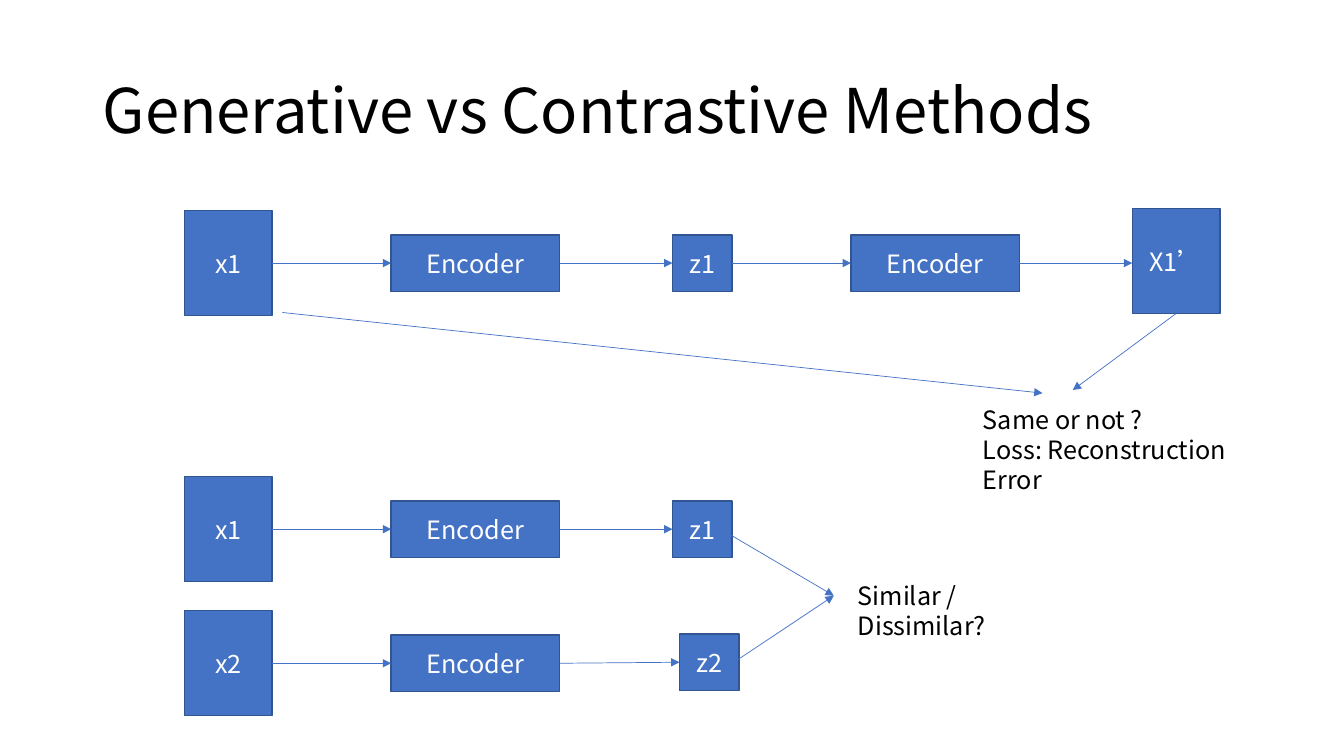
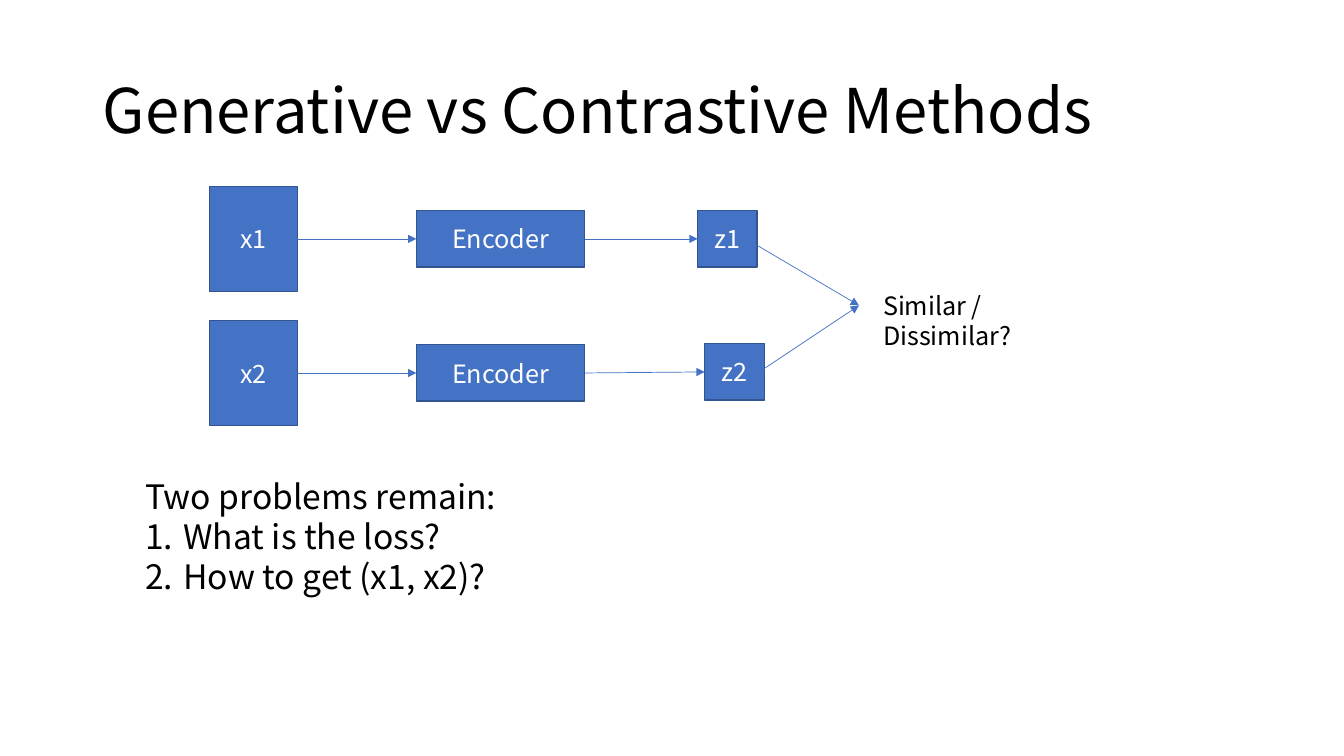
import pptx
import pptx.dml.color
import pptx.enum.shapes
import pptx.enum.text
import pptx.oxml
import pptx.oxml.ns
import pptx.util
import lxml.etree

Inches = pptx.util.Inches
Align = pptx.enum.text.PP_ALIGN
Anchor = pptx.enum.text.MSO_ANCHOR

FONT = "Noto Sans CJK SC"
BLACK, WHITE, BLUE, BORDER = "000000", "FFFFFF", "4472C4", "325491"
TITLE = "Generative vs Contrastive Methods"

INPUT_SIZE = (0.87, 1.04)
ENCODER_SIZE = (1.67, 0.56)
CODE_SIZE = (0.59, 0.56)
ENCODER_OFFSET, CODE_OFFSET, INNER_DROP = 2.05, 4.84, 0.24
ROW_PITCH = 1.33


def color(value):
    return pptx.dml.color.RGBColor.from_string(value)


def add_child(parent, tag, **attributes):
    return lxml.etree.SubElement(parent, pptx.oxml.ns.qn(tag), attributes)


def write(frame, text, size=18, fill=BLACK, align=Align.LEFT, anchor=Anchor.TOP,
          spacing=None, numbered_from=None):
    frame.word_wrap = True
    frame.vertical_anchor = anchor
    for index, line in enumerate(text.split("\n")):
        para = frame.paragraphs[0] if index == 0 else frame.add_paragraph()
        if numbered_from is not None and index >= numbered_from:
            properties = para._p.get_or_add_pPr()
            properties.set("marL", str(Inches(0.38)))
            properties.set("indent", str(Inches(-0.38)))
            add_child(properties, "a:buAutoNum", type="arabicPeriod")
        para.alignment = align
        if spacing:
            para.line_spacing = spacing
        span = para.add_run()
        span.text = line
        span.font.name = FONT
        span.font.size = pptx.util.Pt(size)
        span.font.color.rgb = color(fill)


class SlideBuilder:
    """Holds the deck style and draws elements on the current slide."""

    def __init__(self):
        self.deck = pptx.Presentation()
        self.deck.slide_width = Inches(13.33)
        self.deck.slide_height = Inches(7.5)
        self.page = None

    def new_page(self, title):
        self.page = self.deck.slides.add_slide(self.deck.slide_layouts[6])
        box = self.page.shapes.add_textbox(Inches(0.92), Inches(0.4), Inches(11.5), Inches(1.45))
        write(box.text_frame, title, size=44, anchor=Anchor.MIDDLE, spacing=0.9)

    def caption(self, left, top, width, height, text, **style):
        box = self.page.shapes.add_textbox(Inches(left), Inches(top), Inches(width), Inches(height))
        write(box.text_frame, text, **style)
        box.text_frame.auto_size = pptx.enum.text.MSO_AUTO_SIZE.SHAPE_TO_FIT_TEXT

    def block(self, left, top, size, text):
        box = self.page.shapes.add_shape(
            pptx.enum.shapes.MSO_SHAPE.RECTANGLE,
            Inches(left), Inches(top), Inches(size[0]), Inches(size[1]))
        box.shadow.inherit = False
        box.fill.solid()
        box.fill.fore_color.rgb = color(BLUE)
        box.line.color.rgb = color(BORDER)
        box.line.width = pptx.util.Pt(1)
        write(box.text_frame, text, fill=WHITE, align=Align.CENTER, anchor=Anchor.MIDDLE)
        return box

    def arrow(self, start=(0, 0), end=(0, 0), source=None, source_side=3, target=None):
        line = self.page.shapes.add_connector(
            pptx.enum.shapes.MSO_CONNECTOR.STRAIGHT,
            Inches(start[0]), Inches(start[1]), Inches(end[0]), Inches(end[1]))
        if source is not None:
            line.begin_connect(source, source_side)
        if target is not None:
            line.end_connect(target, 1)
        line.line.color.rgb = color(BLUE)
        line.line.width = pptx.util.Pt(0.5)
        add_child(line.line._get_or_add_ln(), "a:tailEnd", type="triangle")
        add_child(line._element.spPr, "a:effectLst")

    def encoder_row(self, left, top, source, code, code_shift=(0, 0)):
        inner_top = top + INNER_DROP
        data = self.block(left, top, INPUT_SIZE, source)
        encoder = self.block(left + ENCODER_OFFSET, inner_top, ENCODER_SIZE, "Encoder")
        result = self.block(left + CODE_OFFSET + code_shift[0], inner_top + code_shift[1],
                            CODE_SIZE, code)
        self.arrow(source=data, target=encoder)
        self.arrow(source=encoder, target=result)
        return result

    def contrastive_diagram(self, left, top):
        self.encoder_row(left, top, "x1", "z1")
        self.encoder_row(left, top + ROW_PITCH, "x2", "z2", code_shift=(0.07, -0.01))
        meeting = (left + 6.44, top + 1.18)
        self.arrow((left + 5.32, top + 0.52), meeting)
        self.arrow((left + 5.45, top + 1.84), meeting)
        self.caption(left + 6.58, top + 0.98, 2.3, 0.4, "Similar / Dissimilar?")

    def generative_diagram(self, left, top):
        code = self.encoder_row(left, top, "x1", "z1")
        decoder = self.block(8.44, top + INNER_DROP, ENCODER_SIZE, "Encoder")
        rebuilt = self.block(11.23, top - 0.02, INPUT_SIZE, "X1’")
        self.arrow(source=code, target=decoder)
        self.arrow(end=(11.23, top + 0.52), source=decoder)
        self.arrow((2.8, 3.1), (10.34, 3.9))
        self.arrow(end=(10.64, 3.87), source=rebuilt, source_side=2)
        self.caption(9.65, 3.96, 3.01, 0.71, "Same or not ?\nLoss: Reconstruction Error")


def main():
    builder = SlideBuilder()

    builder.new_page(TITLE)
    builder.generative_diagram(1.83, 2.09)
    builder.contrastive_diagram(1.83, 4.73)

    builder.new_page(TITLE)
    builder.contrastive_diagram(2.08, 1.85)
    builder.caption(1.34, 4.67, 6.73, 1.31,
                    "Two problems remain:\nWhat is the loss?\nHow to get (x1, x2)?",
                    size=24, numbered_from=1)

    builder.deck.save("out.pptx")


if __name__ == "__main__":
    main()
